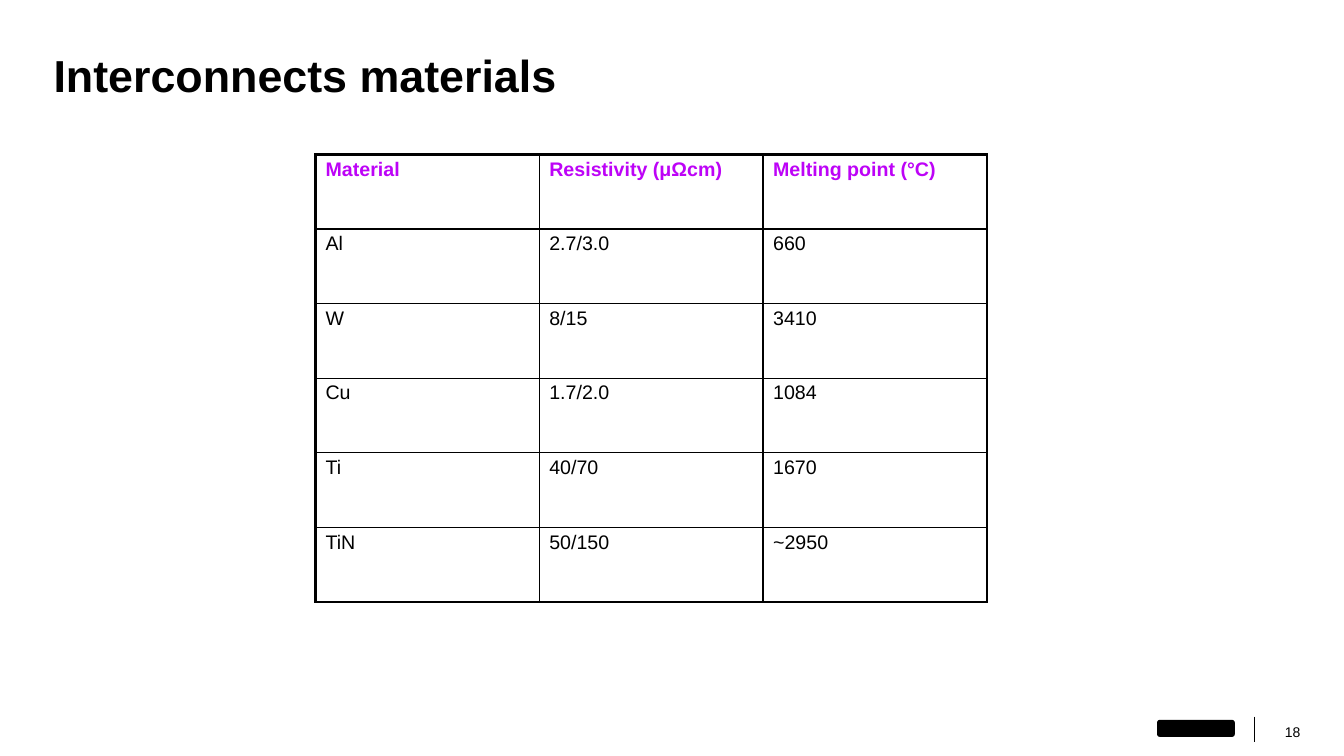
from lxml import etree
from pptx import Presentation
from pptx import util as u
from pptx.dml.color import RGBColor
from pptx.enum import shapes, text
from pptx.oxml import ns

COLORS = {"ink": "000000", "heading": "BD03F7"}
THIN, THICK = 1, 2.25
ROWS = [
    ("Material", "Resistivity (μΩcm)", "Melting point (°C)"),
    ("Al", "2.7/3.0", "660"),
    ("W", "8/15", "3410"),
    ("Cu", "1.7/2.0", "1084"),
    ("Ti", "40/70", "1670"),
    ("TiN", "50/150", "~2950"),
]
COLUMN_WIDTH, ROW_HEIGHT = u.Cm(5.64), u.Cm(1.88)


def style_text(para, size, color, bold=False):
    for span in para.runs:
        span.font.name = "Arial"
        span.font.size = u.Pt(size)
        span.font.bold = bold
        span.font.color.rgb = RGBColor.from_string(COLORS[color])


def add_label(page, words, left, top, width, height):
    box = page.shapes.add_textbox(u.Cm(left), u.Cm(top), u.Cm(width), u.Cm(height))
    frame = box.text_frame
    frame.margin_left = frame.margin_right = frame.margin_top = frame.margin_bottom = 0
    frame.text = words
    return frame


deck = Presentation()
deck.slide_width, deck.slide_height = u.Cm(33.87), u.Cm(19.05)
page = deck.slides.add_slide(deck.slide_layouts[6])

title = add_label(page, "Interconnects materials", 1.35, 1.35, 31.17, 1.47)
title.word_wrap = True
title.paragraphs[0].line_spacing = 0.9
style_text(title.paragraphs[0], 32, "ink", bold=True)

row_count, column_count = len(ROWS), len(ROWS[0])
table = page.shapes.add_table(
    row_count, column_count, u.Cm(7.95), u.Cm(3.89),
    COLUMN_WIDTH * column_count, ROW_HEIGHT * row_count,
).table
table.first_row = table.horz_banding = False
for column in table.columns:
    column.width = COLUMN_WIDTH
for row in table.rows:
    row.height = ROW_HEIGHT

for r, values in enumerate(ROWS):
    for c, value in enumerate(values):
        cell = table.cell(r, c)
        cell.fill.background()
        para = cell.text_frame.paragraphs[0]
        para.text = value
        para.line_spacing = 0.95
        style_text(para, 14, "ink" if r else "heading", bold=r == 0)

        outer_edges = {
            "lnL": c == 0,
            "lnR": c == column_count - 1,
            "lnT": r == 0,
            "lnB": r == row_count - 1,
        }
        properties = cell._tc.get_or_add_tcPr()
        for order, (edge, outer) in enumerate(outer_edges.items()):
            border = etree.Element(ns.qn(f"a:{edge}"), w=str(u.Pt(THICK if outer else THIN)))
            fill = etree.SubElement(border, ns.qn("a:solidFill"))
            etree.SubElement(fill, ns.qn("a:srgbClr"), val=COLORS["ink"])
            properties.insert(order, border)

mark = page.shapes.add_shape(
    shapes.MSO_SHAPE.ROUNDED_RECTANGLE, u.Cm(29.16), u.Cm(18.14), u.Cm(1.96), u.Cm(0.43)
)
mark.shadow.inherit = False
mark.fill.solid()
mark.fill.fore_color.rgb = RGBColor.from_string(COLORS["ink"])
mark.line.fill.background()

divider = page.shapes.add_connector(
    shapes.MSO_CONNECTOR.STRAIGHT, u.Cm(31.62), u.Cm(18.06), u.Cm(31.62), u.Cm(18.69)
)
divider.line.width = u.Pt(0.5)
divider.line.color.rgb = RGBColor.from_string(COLORS["ink"])
etree.SubElement(divider._element.spPr, ns.qn("a:effectLst"))

number = add_label(page, "18", 31.88, 18.14, 0.89, 0.51)
number.word_wrap = False
number.vertical_anchor = text.MSO_ANCHOR.BOTTOM
number.paragraphs[0].alignment = text.PP_ALIGN.RIGHT
style_text(number.paragraphs[0], 10, "ink")

deck.save("out.pptx")
